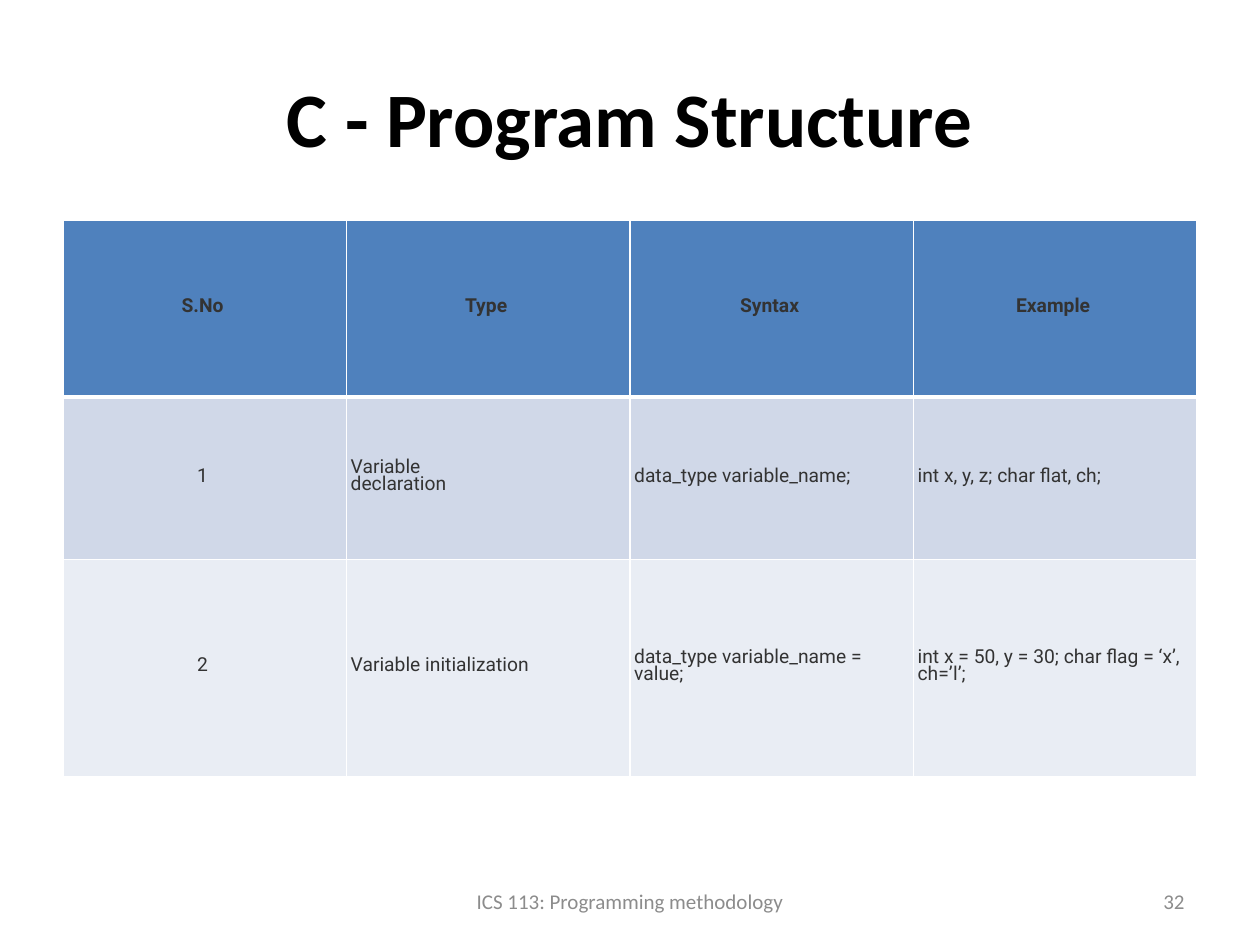
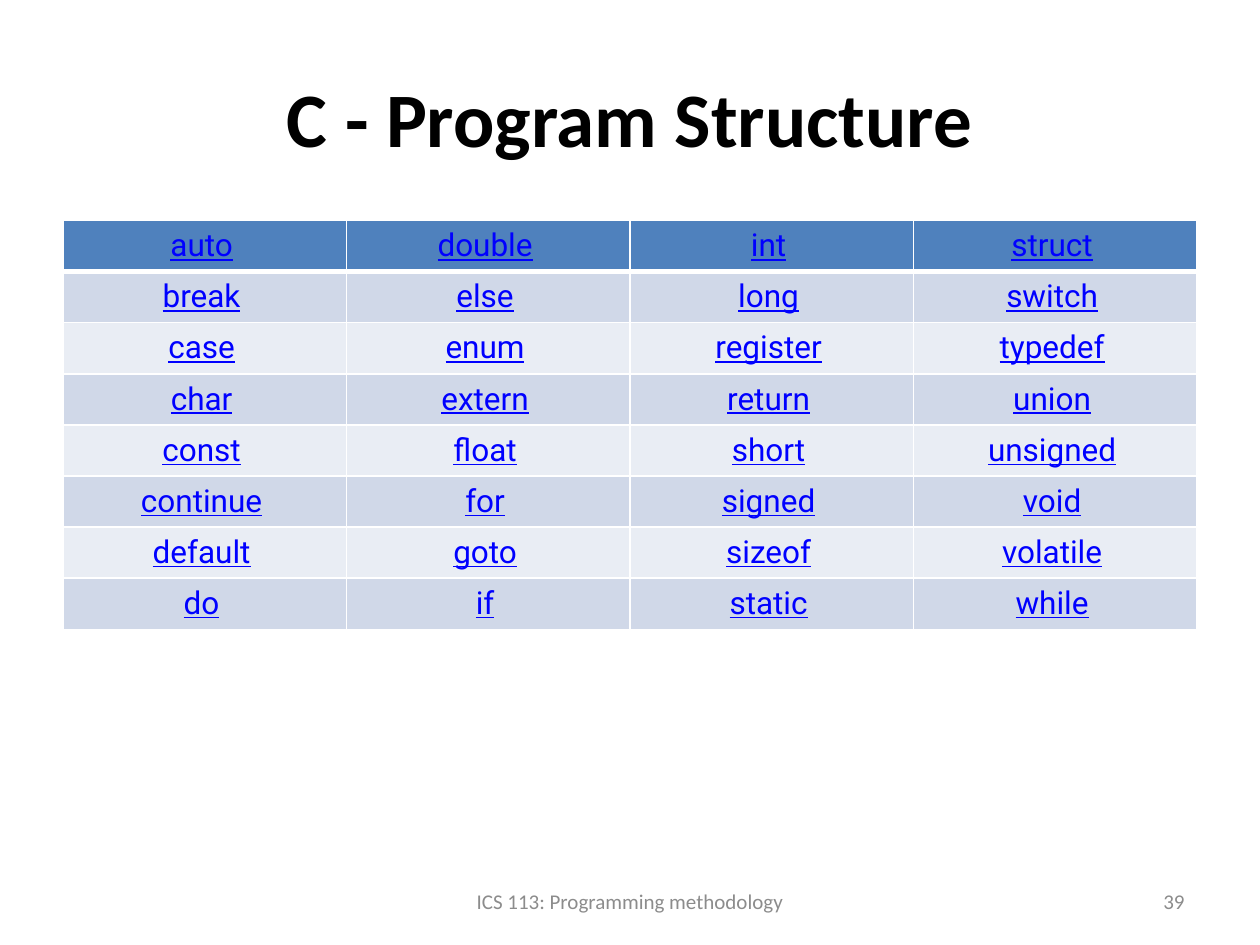
from lxml import etree
from pptx import Presentation
from pptx.dml.color import RGBColor
from pptx.enum import text
from pptx.oxml import ns
from pptx.util import Pt

# Shared look
BLACK = RGBColor(0x00, 0x00, 0x00)
GREY = RGBColor(0x8C, 0x8C, 0x8C)
CHARCOAL = RGBColor(0x33, 0x33, 0x33)
LINK_BLUE = RGBColor(0x00, 0x00, 0xFF)
HEADER_BLUE = RGBColor(0x4F, 0x81, 0xBD)
BAND_DARK = RGBColor(0xD0, 0xD8, 0xE8)
BAND_LIGHT = RGBColor(0xE9, 0xED, 0xF4)
WHITE = RGBColor(0xFF, 0xFF, 0xFF)

LEFT = text.PP_ALIGN.LEFT
CENTER = text.PP_ALIGN.CENTER
RIGHT = text.PP_ALIGN.RIGHT
MIDDLE = text.MSO_ANCHOR.MIDDLE

TITLE_FONT = {"name": "Calibri", "size": Pt(44), "bold": True, "color": BLACK}
FOOTER_FONT = {"name": "Calibri", "size": Pt(12), "color": GREY}
SYNTAX_FONT = {"name": "Roboto", "size": Pt(11), "bold": False, "color": CHARCOAL}
KEYWORD_FONT = {"name": "Roboto", "size": Pt(18), "bold": False,
                "underline": True, "color": LINK_BLUE}

MARGIN, TABLE_TOP, COLUMN_WIDTH = 36, 126, 162

# Slide content
SYNTAX_ROWS = [
    ["S.No", "Type", "Syntax", "Example"],
    ["1", "Variable\ndeclaration", "data_type variable_name;",
     "int x, y, z; char flat, ch;"],
    ["2", "Variable initialization", "data_type variable_name = value;",
     "int x = 50, y = 30; char flag = ‘x’, ch=’l’;"],
]
KEYWORD_ROWS = [line.split() for line in (
    "auto double int struct",
    "break else long switch",
    "case enum register typedef",
    "char extern return union",
    "const float short unsigned",
    "continue for signed void",
    "default goto sizeof volatile",
    "do if static while",
)]


def write(frame, words, font, align, spacing=None):
    """Fill a text frame, one paragraph for each line of words."""
    frame.text = words
    for para in frame.paragraphs:
        para.alignment = align
        if spacing:
            para.line_spacing = spacing
        for span in para.runs:
            for key, value in font.items():
                if key == "color":
                    span.font.color.rgb = value
                else:
                    setattr(span.font, key, value)


def add_label(page, left, top, width, height, words, font, align):
    box = page.shapes.add_textbox(Pt(left), Pt(top), Pt(width), Pt(height))
    box.text_frame.word_wrap = True
    box.text_frame.vertical_anchor = MIDDLE
    write(box.text_frame, words, font, align)


def add_page(deck, number):
    """Add a page with the common title and footer."""
    page = deck.slides.add_slide(deck.slide_layouts[6])
    add_label(page, MARGIN, 21.6, 648, 90, "C - Program Structure", TITLE_FONT, CENTER)
    add_label(page, 246, 500.5, 228, 28.75,
              "ICS 113: Programming methodology", FOOTER_FONT, CENTER)
    add_label(page, 516, 500.5, 168, 28.75, str(number), FOOTER_FONT, RIGHT)
    return page


def set_borders(cell, widths):
    properties = cell._tc.get_or_add_tcPr()
    for side, width in widths.items():
        line = etree.SubElement(properties, ns.qn(f"a:ln{side}"), w=str(Pt(width)))
        fill = etree.SubElement(line, ns.qn("a:solidFill"))
        etree.SubElement(fill, ns.qn("a:srgbClr"), val=str(WHITE))


def add_grid(page, rows, heights, insets, font, body_aligns, header_bold=False, spacing=None):
    """Add a banded table with a thick rule under its header row."""
    columns = len(rows[0])
    table = page.shapes.add_table(
        len(rows), columns, Pt(MARGIN), Pt(TABLE_TOP),
        Pt(COLUMN_WIDTH * columns), Pt(sum(heights))).table
    for column in table.columns:
        column.width = Pt(COLUMN_WIDTH)
    for r, (words_row, height) in enumerate(zip(rows, heights)):
        table.rows[r].height = Pt(height)
        header = r == 0
        band = HEADER_BLUE if header else BAND_DARK if r % 2 else BAND_LIGHT
        borders = {"L": 1, "R": 1, "T": 3 if r == 1 else 1, "B": 3 if header else 1}
        row_font = {**font, "bold": header and header_bold}
        for c, words in enumerate(words_row):
            cell = table.cell(r, c)
            set_borders(cell, borders)
            cell.fill.solid()
            cell.fill.fore_color.rgb = band
            cell.vertical_anchor = MIDDLE
            for side, inset in insets.items():
                setattr(cell, f"margin_{side}", Pt(inset))
            align = CENTER if header else body_aligns[c]
            write(cell.text_frame, words, row_font, align, spacing)


def main():
    deck = Presentation()
    deck.slide_width, deck.slide_height = Pt(720), Pt(540)

    # Variable declaration and initialization
    add_grid(add_page(deck, 32), SYNTAX_ROWS, [100.8, 93, 124],
             {"left": 2.4, "top": 2.4, "right": 4.8, "bottom": 2.4},
             SYNTAX_FONT, [CENTER, LEFT, LEFT, LEFT],
             header_bold=True, spacing=Pt(9.6))

    # Keywords
    add_grid(add_page(deck, 39), KEYWORD_ROWS, [29.2] * len(KEYWORD_ROWS),
             {"left": 3.6, "top": 2.9, "right": 7.2, "bottom": 2.9},
             KEYWORD_FONT, [CENTER] * 4)

    deck.save("out.pptx")


if __name__ == "__main__":
    main()
